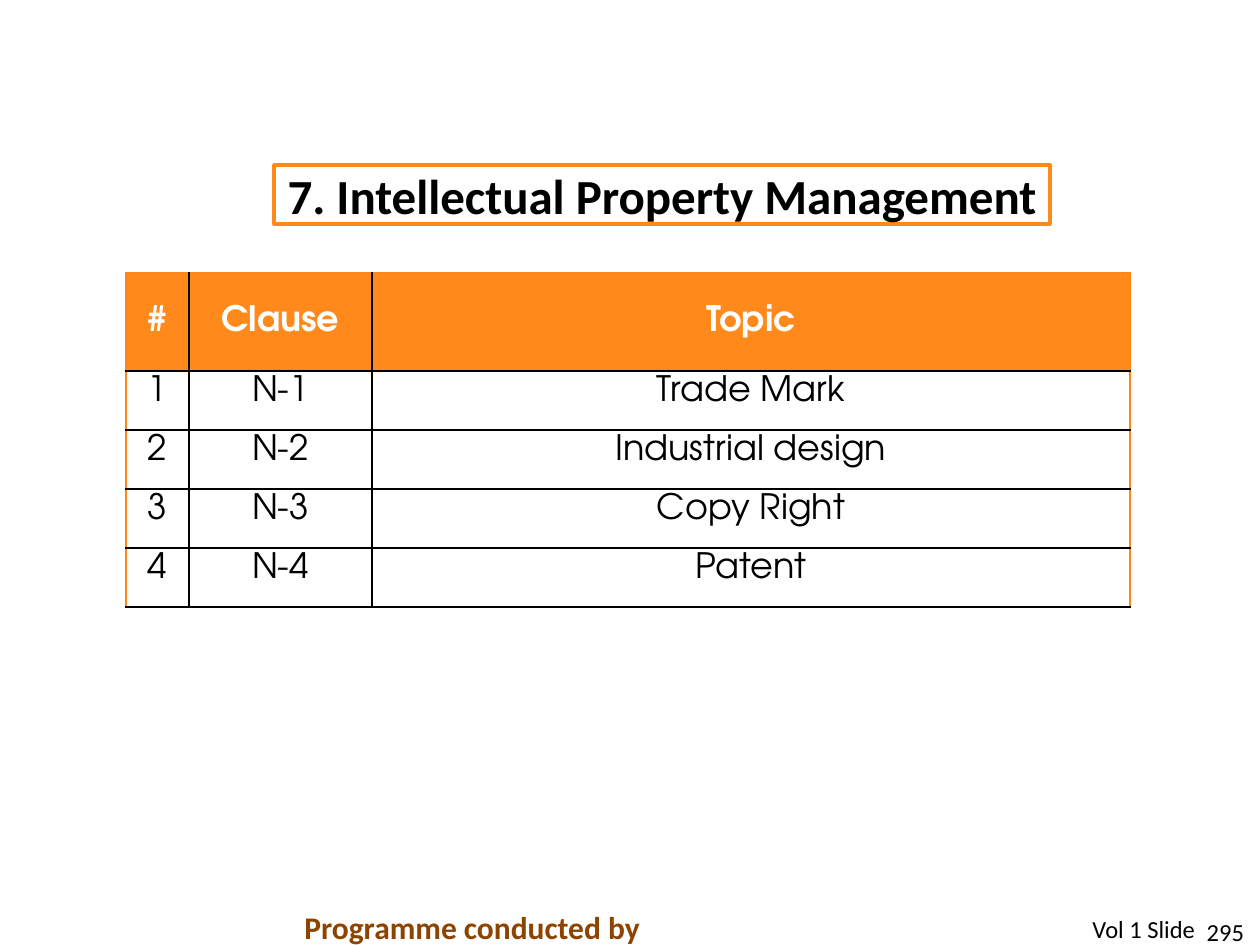
from typing import NamedTuple

from lxml.etree import SubElement
from pptx import Presentation
from pptx.dml.color import RGBColor
from pptx.enum.shapes import MSO_SHAPE
from pptx.enum.text import MSO_ANCHOR as Anchor, MSO_AUTO_SIZE as AutoSize, PP_ALIGN as Align
from pptx.oxml.ns import qn
from pptx.util import Emu, Pt

PX_PER_INCH = 126
BLACK = RGBColor(0x00, 0x00, 0x00)
WHITE = RGBColor(0xFF, 0xFF, 0xFF)
ORANGE = RGBColor(0xFF, 0x89, 0x1B)
EDGE_ORANGE = RGBColor(0xFF, 0x86, 0x15)
BROWN = RGBColor(0x8D, 0x44, 0x00)
BODY_FONT = "Calibri"
TABLE_FONT = "TeX Gyre Adventor"


class Box(NamedTuple):
    left: int
    top: int
    width: int
    height: int


class Topic(NamedTuple):
    number: str
    clause: str
    title: str


class Border(NamedTuple):
    color: RGBColor
    points: float


INNER = Border(BLACK, 1)
EDGE = Border(EDGE_ORANGE, 0.75)

HEADER = Topic("#", "Clause", "Topic")
TOPICS = [
    Topic("1", "N-1", "Trade Mark"),
    Topic("2", "N-2", "Industrial design"),
    Topic("3", "N-3", "Copy Right"),
    Topic("4", "N-4", "Patent"),
]
TABLE_BOX = Box(126, 273, 1004, 334)
COLUMN_WIDTHS = [63, 183, 758]
HEADER_HEIGHT, TOPIC_HEIGHT = 98, 59


def px(length: int) -> Emu:
    return Emu(round(length * 914400 / PX_PER_INCH))


def place(box: Box) -> list[Emu]:
    return [px(length) for length in box]


def write(frame, text: str, *, size: int, font: str = BODY_FONT, color: RGBColor = BLACK,
          bold: bool = False, align: Align = Align.LEFT) -> None:
    paragraph = frame.paragraphs[0]
    paragraph.alignment = align
    run = paragraph.add_run()
    run.text = text
    run.font.size = Pt(size)
    run.font.name = font
    run.font.bold = bold
    run.font.color.rgb = color


def fit_tightly(frame) -> None:
    """Drop the insets and rest the text on the bottom edge."""
    frame.margin_left = frame.margin_right = frame.margin_top = frame.margin_bottom = 0
    frame.vertical_anchor = Anchor.BOTTOM
    frame.word_wrap = True


def add_label(slide, box: Box, text: str, *, tight: bool = False, **text_format) -> None:
    frame = slide.shapes.add_textbox(*place(box)).text_frame
    frame.word_wrap = False
    if tight:
        fit_tightly(frame)
    frame.auto_size = AutoSize.SHAPE_TO_FIT_TEXT
    write(frame, text, **text_format)


def add_title(slide, box: Box, text: str) -> None:
    title = slide.shapes.add_shape(MSO_SHAPE.RECTANGLE, *place(box))
    title.shadow.inherit = False
    title.fill.solid()
    title.fill.fore_color.rgb = WHITE
    title.line.color.rgb = ORANGE
    title.line.width = Pt(2)
    fit_tightly(title.text_frame)
    title.text_frame.auto_size = AutoSize.SHAPE_TO_FIT_TEXT
    write(title.text_frame, text, size=28, bold=True, align=Align.CENTER)


def set_borders(cell, borders: dict[str, Border]) -> None:
    """Put the border lines ahead of the fill, as the schema orders them."""
    properties = cell._tc.get_or_add_tcPr()
    for position, (side, border) in enumerate(borders.items()):
        line = SubElement(properties, qn(f"a:ln{side}"), w=str(Pt(border.points)))
        fill = SubElement(line, qn("a:solidFill"))
        SubElement(fill, qn("a:srgbClr"), val=str(border.color))
        properties.insert(position, line)


def add_topic_table(slide, box: Box) -> None:
    rows = [HEADER, *TOPICS]
    table = slide.shapes.add_table(len(rows), len(COLUMN_WIDTHS), *place(box)).table
    table.first_row = table.horz_banding = False
    for column, width in zip(table.columns, COLUMN_WIDTHS):
        column.width = px(width)
    last_column = len(COLUMN_WIDTHS) - 1

    for row_index, topic in enumerate(rows):
        is_header = row_index == 0
        table.rows[row_index].height = px(HEADER_HEIGHT if is_header else TOPIC_HEIGHT)
        for column_index, text in enumerate(topic):
            cell = table.cell(row_index, column_index)
            cell.margin_left = cell.margin_right = px(9)
            cell.margin_top = cell.margin_bottom = px(5)
            cell.vertical_anchor = Anchor.MIDDLE if is_header else Anchor.TOP
            if is_header:
                cell.fill.solid()
                cell.fill.fore_color.rgb = ORANGE
            else:
                cell.fill.background()
            set_borders(cell, {
                "L": EDGE if column_index == 0 else INNER,
                "R": EDGE if column_index == last_column else INNER,
                "T": EDGE if is_header else INNER,
                "B": INNER,
            })
            write(cell.text_frame, text, size=20, font=TABLE_FONT, bold=is_header,
                  color=WHITE if is_header else BLACK, align=Align.CENTER)


def main() -> None:
    presentation = Presentation()
    presentation.slide_width, presentation.slide_height = px(1260), px(945)
    slide = presentation.slides.add_slide(presentation.slide_layouts[6])

    add_label(slide, Box(1196, 916, 48, 30), "295", tight=True, size=14, align=Align.RIGHT)
    add_label(slide, Box(292, 902, 364, 50), "Programme conducted by",
              size=18, color=BROWN, bold=True)
    add_label(slide, Box(1080, 908, 130, 43), "Vol 1 Slide", size=14)
    add_topic_table(slide, TABLE_BOX)
    add_title(slide, Box(274, 165, 776, 59), "7. Intellectual Property Management")

    presentation.save("out.pptx")


if __name__ == "__main__":
    main()
